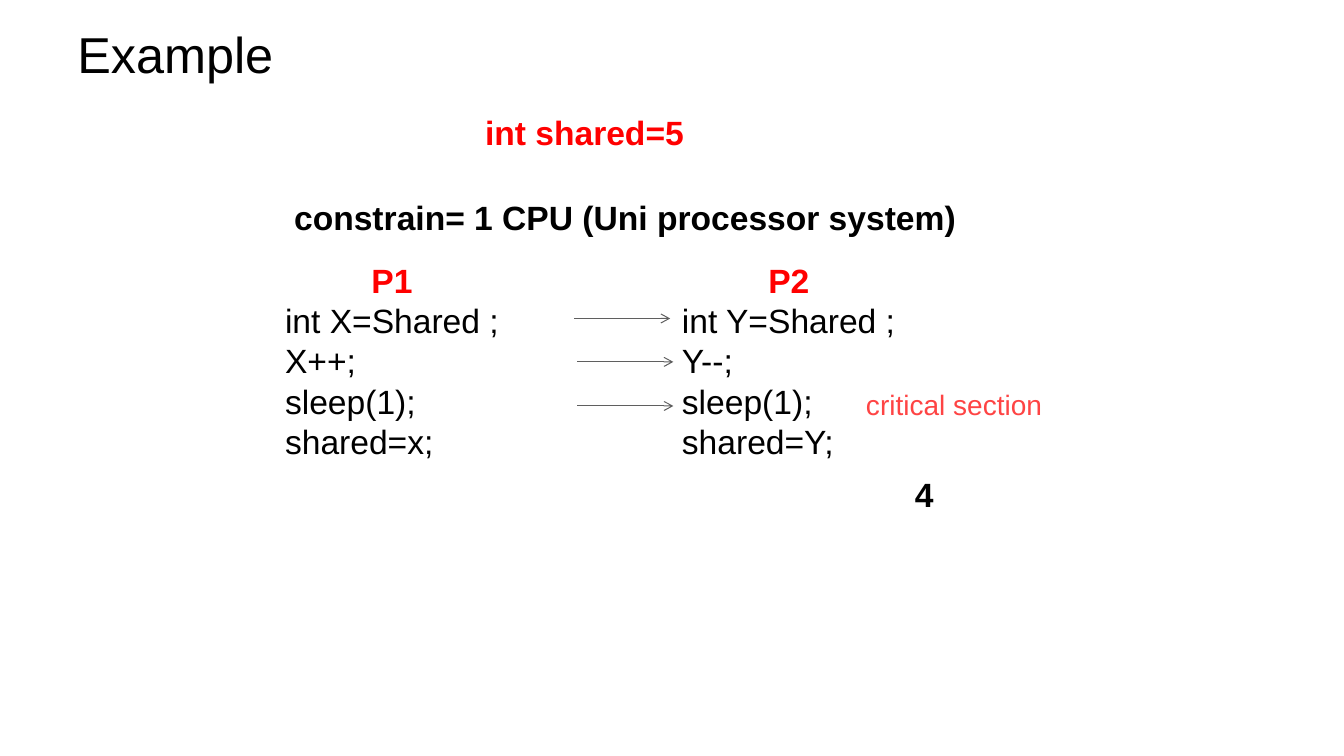
from lxml import etree
from pptx import Presentation
from pptx.dml.color import RGBColor
from pptx.enum.shapes import MSO_CONNECTOR as CONN
from pptx.enum.text import MSO_ANCHOR as ANCHOR, PP_ALIGN as ALIGN
from pptx.oxml.ns import qn
from pptx.util import Pt

BLACK = RGBColor(0x00, 0x00, 0x00)
RED = RGBColor(0xFF, 0x00, 0x00)
CORAL = RGBColor(0xFE, 0x44, 0x44)
GRAY = RGBColor(0x5F, 0x5F, 0x5F)
FONT = "Arial"

TITLE = "Example"
PROCESSES = [
    ("P1", ["int X=Shared ;", "X++;", "sleep(1);", "shared=x;"]),
    ("P2", ["int Y=Shared ;", "Y--;", "sleep(1);", "shared=Y;"]),
]
# text, (left, top, width, height), size, colour, bold
LABELS = [
    ("int shared=5", (334, 76.5, 167, 36), 24, RED, True),
    ("constrain= 1 CPU (Uni processor system)", (114, 137, 665, 36), 24, BLACK, True),
    ("4", (613.5, 335, 93.5, 36), 24, BLACK, True),
    ("critical section", (584, 273.5, 195, 31.5), 20, CORAL, False),
]
ARROW_STARTS = [(410.25, 227.5), (412.5, 258.5), (412.5, 290)]
ARROW_LENGTH = 68.5
COLUMN_LEFT, COLUMN_TOP, COLUMN_STEP = 196.5, 182, 283.5
COLUMN_WIDTH, COLUMN_HEIGHT = 167, 153


def add_run(p, text, size, color, bold=False):
    r = p.add_run()
    r.text = text
    r.font.name, r.font.size, r.font.bold = FONT, Pt(size), bold
    r.font.color.rgb = color


def add_text(slide, box, lines):
    """Each line is (text, size, colour, bold, alignment)."""
    tf = slide.shapes.add_textbox(*map(Pt, box)).text_frame
    tf.word_wrap = True
    for i, (text, size, color, bold, align) in enumerate(lines):
        p = tf.add_paragraph() if i else tf.paragraphs[0]
        p.alignment = align
        add_run(p, text, size, color, bold)


def add_arrow(slide, x, y):
    line = slide.shapes.add_connector(
        CONN.STRAIGHT, Pt(x), Pt(y), Pt(x + ARROW_LENGTH), Pt(y))
    line.line.color.rgb = GRAY
    line.line.width = Pt(0.75)
    etree.SubElement(line.line._get_or_add_ln(), qn("a:tailEnd"), type="arrow")
    etree.SubElement(line._element.spPr, qn("a:effectLst"))


def main():
    prs = Presentation()
    prs.slide_width, prs.slide_height = Pt(960), Pt(540)
    slide = prs.slides.add_slide(prs.slide_layouts[5])

    title = slide.shapes.title
    title.left, title.top, title.width, title.height = map(Pt, (48, 15, 864, 46))
    title.text_frame.vertical_anchor = ANCHOR.MIDDLE
    p = title.text_frame.paragraphs[0]
    p.alignment = ALIGN.LEFT
    add_run(p, TITLE, 36, BLACK)

    for i, (name, code) in enumerate(PROCESSES):
        box = (COLUMN_LEFT + i * COLUMN_STEP, COLUMN_TOP, COLUMN_WIDTH, COLUMN_HEIGHT)
        heading = (name, 24, RED, True, ALIGN.CENTER)
        add_text(slide, box, [heading] + [(c, 24, BLACK, False, ALIGN.LEFT) for c in code])

    for text, box, size, color, bold in LABELS:
        add_text(slide, box, [(text, size, color, bold, ALIGN.CENTER)])

    for x, y in ARROW_STARTS:
        add_arrow(slide, x, y)

    prs.save("out.pptx")


if __name__ == "__main__":
    main()
